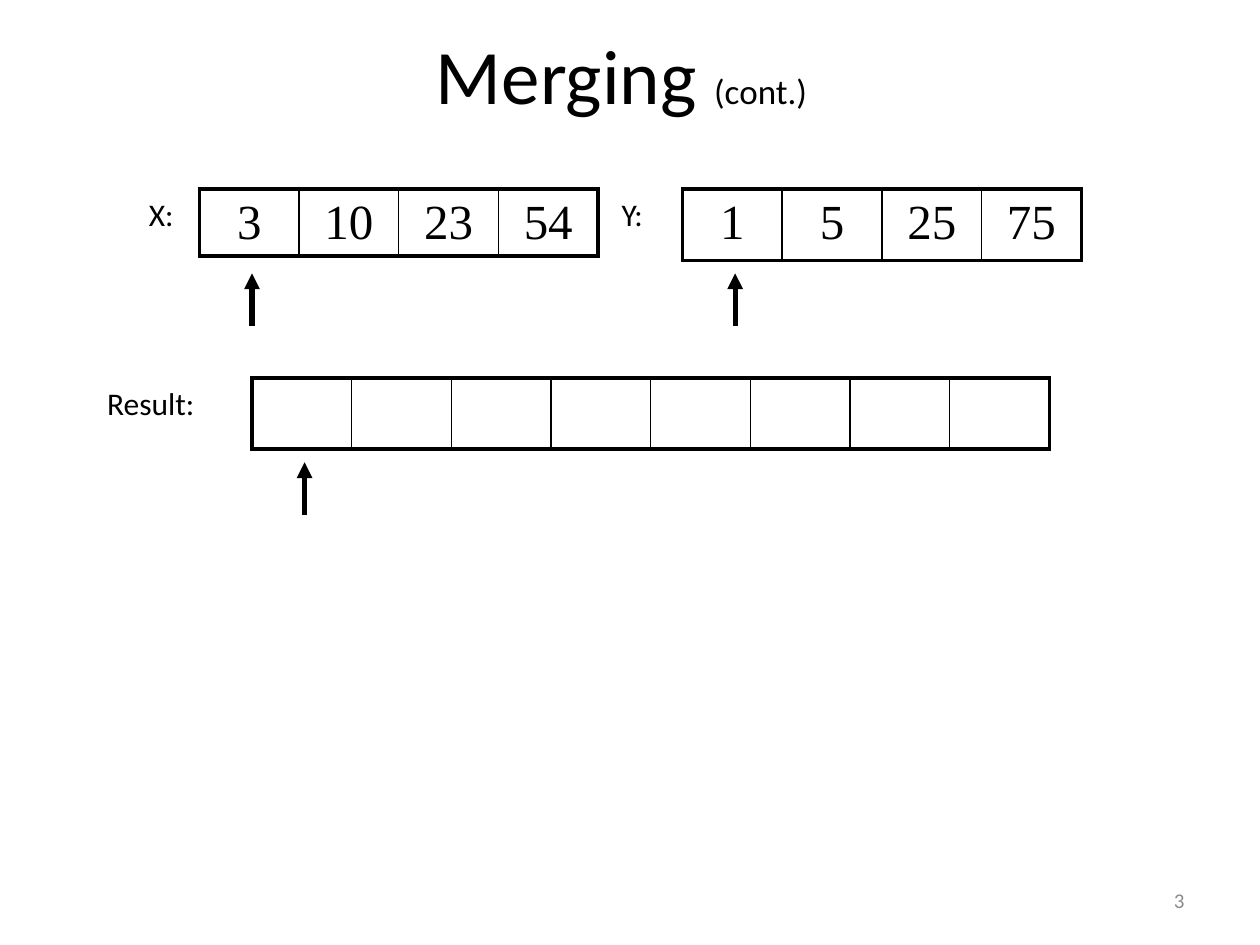
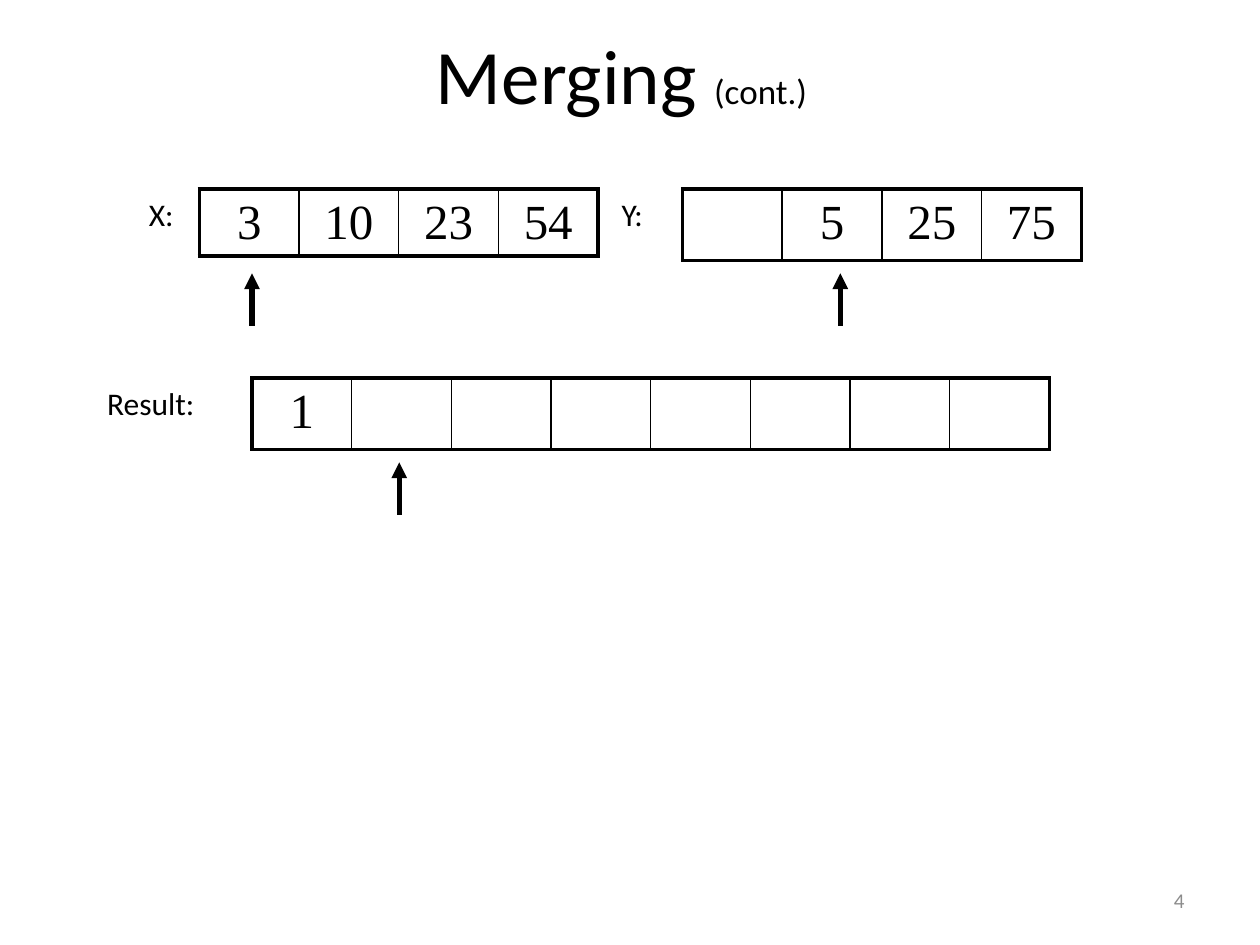
from lxml import etree
from pptx import Presentation
from pptx.dml.color import RGBColor
from pptx.enum.shapes import MSO_CONNECTOR
from pptx.enum.text import MSO_ANCHOR, MSO_AUTO_SIZE, PP_ALIGN
from pptx.oxml.ns import qn
from pptx.util import Cm, Pt

LEFT, CENTER, RIGHT = PP_ALIGN.LEFT, PP_ALIGN.CENTER, PP_ALIGN.RIGHT
TOP, MIDDLE = MSO_ANCHOR.TOP, MSO_ANCHOR.MIDDLE
GROW = MSO_AUTO_SIZE.SHAPE_TO_FIT_TEXT
FIXED = MSO_AUTO_SIZE.NONE
STRAIGHT = MSO_CONNECTOR.STRAIGHT

COLORS = {"ink": "000000", "number": "8C8C8C"}
BODY, DIGITS = "Calibri", "Times New Roman"
CELL_W = 2.01
TABLE_H = 1.45
THICK, THIN = 2.25, 1
ROW_INPUT, ROW_RESULT = 3.81, 7.62
ARROW_GAP, ARROW_H = 1.7, 1.06

ARRAYS = [
    {"label": "X:", "label_x": 2.75, "label_w": 1.48, "x": 4.02, "y": ROW_INPUT,
     "row_h": 1.19, "arrow_x": 5.08, "arrow_step": 2.12},
    {"label": "Y:", "label_x": 12.28, "label_w": 1.48, "x": 13.76, "y": ROW_INPUT,
     "row_h": 1.19, "arrow_x": 14.82, "arrow_step": 2.12},
    {"label": "Result:", "label_x": 1.91, "label_w": 2.96, "x": 5.08, "y": ROW_RESULT,
     "row_h": 1.43, "arrow_x": 6.14, "arrow_step": 1.91},
]

STEPS = [
    {"number": "3", "cells": [["3", "10", "23", "54"], ["1", "5", "25", "75"], [""] * 8],
     "positions": [0, 0, 0]},
    {"number": "4", "cells": [["3", "10", "23", "54"], ["", "5", "25", "75"], ["1"] + [""] * 7],
     "positions": [0, 1, 1]},
]


def add_run(p, text, size, font=BODY, color="ink"):
    """Append a formatted run to a paragraph."""
    r = p.add_run()
    r.text = text
    r.font.size = Pt(size)
    r.font.name = font
    r.font.color.rgb = RGBColor.from_string(COLORS[color])


def add_text(slide, text, x, y, w, h, size=18, color="ink", align=LEFT, anchor=TOP, fit=GROW):
    """Add a wrapped text box with one line of text."""
    tf = slide.shapes.add_textbox(Cm(x), Cm(y), Cm(w), Cm(h)).text_frame
    tf.word_wrap = True
    tf.auto_size = fit
    tf.vertical_anchor = anchor
    p = tf.paragraphs[0]
    p.alignment = align
    add_run(p, text, size, color=color)


def add_title(slide):
    """Place the title and give its parts their sizes."""
    sp = slide.shapes.title
    sp.left, sp.top, sp.width, sp.height = Cm(1.91), Cm(0.42), Cm(21.59), Cm(2.12)
    tf = sp.text_frame
    tf.vertical_anchor = MIDDLE
    p = tf.paragraphs[0]
    p.alignment = CENTER
    for text, size in (("Merging ", 44), ("(cont.)", 20), (" ", 44)):
        add_run(p, text, size)


def set_borders(cell, left, right):
    """Draw the four cell borders, with thick ones above and below."""
    tc_pr = cell._tc.get_or_add_tcPr()
    for side, width in (("L", left), ("R", right), ("T", THICK), ("B", THICK)):
        ln = etree.SubElement(tc_pr, qn(f"a:ln{side}"), w=str(Pt(width)))
        fill = etree.SubElement(ln, qn("a:solidFill"))
        etree.SubElement(fill, qn("a:srgbClr"), val=COLORS["ink"])


def add_array(slide, values, x, y, row_h):
    """Add a one-row table that shows the array's values."""
    count = len(values)
    frame = slide.shapes.add_table(1, count, Cm(x), Cm(y), Cm(CELL_W * count), Cm(TABLE_H))
    table = frame.table
    table.first_row = table.horz_banding = False
    table.rows[0].height = Cm(row_h)
    frame.height = Cm(TABLE_H)
    for i, value in enumerate(values):
        table.columns[i].width = Cm(CELL_W)
        cell = table.cell(0, i)
        set_borders(cell, THICK if i == 0 else THIN, THICK if i == count - 1 else THIN)
        cell.fill.background()
        p = cell.text_frame.paragraphs[0]
        p.alignment = CENTER
        if value:
            add_run(p, value, 28, DIGITS)


def add_arrow(slide, x, y):
    """Add an upward arrow whose tip is at the given point."""
    line = slide.shapes.add_connector(STRAIGHT, Cm(x), Cm(y + ARROW_H), Cm(x), Cm(y))
    line.line.width = Pt(3)
    line.line.color.rgb = RGBColor.from_string(COLORS["ink"])
    etree.SubElement(line.line._get_or_add_ln(), qn("a:tailEnd"), type="triangle")
    etree.SubElement(line._element.spPr, qn("a:effectLst"))


def add_step(prs, step):
    """Add the slide for one step of the merge."""
    slide = prs.slides.add_slide(prs.slide_layouts[5])
    add_title(slide)
    for array, values, position in zip(ARRAYS, step["cells"], step["positions"]):
        y = array["y"]
        add_array(slide, values, array["x"], y, array["row_h"])
        add_arrow(slide, array["arrow_x"] + position * array["arrow_step"], y + ARROW_GAP)
        add_text(slide, array["label"], array["label_x"], y, array["label_w"], 1.27)
    add_text(slide, step["number"], 18.2, 17.65, 5.93, 1.01, size=12, color="number",
             align=RIGHT, anchor=MIDDLE, fit=FIXED)


def main():
    """Build the slides and save the presentation."""
    prs = Presentation()
    prs.slide_width, prs.slide_height = Cm(25.4), Cm(19.05)
    for step in STEPS:
        add_step(prs, step)
    prs.save("out.pptx")


main()
